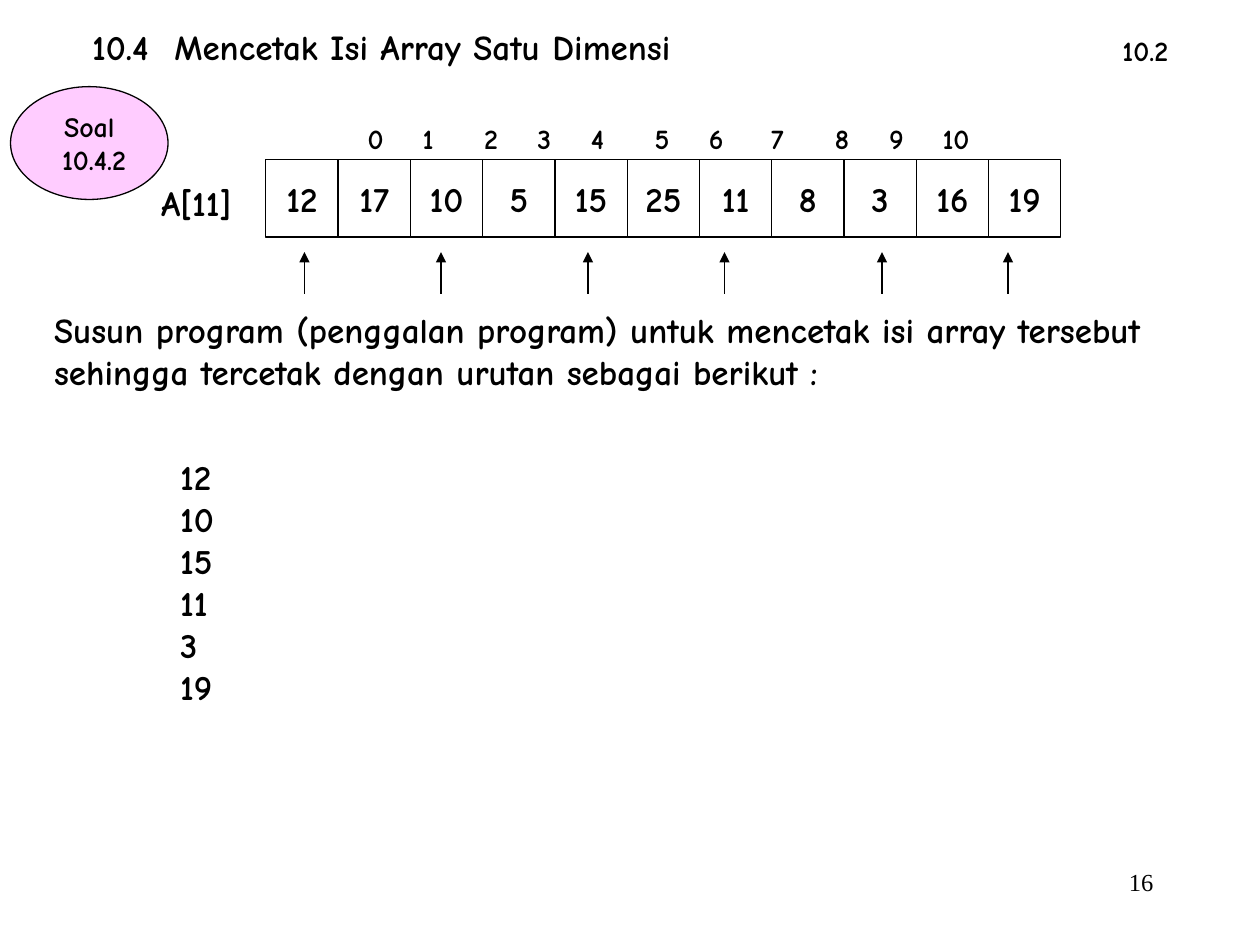
from lxml.etree import SubElement
from pptx import Presentation
from pptx.dml.color import RGBColor
from pptx.enum.shapes import MSO_CONNECTOR, MSO_SHAPE
from pptx.enum.text import MSO_ANCHOR, MSO_AUTO_SIZE, PP_ALIGN
from pptx.oxml.ns import qn
from pptx.util import Pt

COLORS = {"ink": "000000", "badge": "FFCCFF"}
HEADING = {"name": "Comic Neue", "size": Pt(20), "bold": True}
LABEL = {**HEADING, "size": Pt(16)}
PAGE = {"name": "Times New Roman", "size": Pt(14), "bold": False}


def write(shape, text, font_format, align=PP_ALIGN.LEFT, anchor=MSO_ANCHOR.TOP, wrap=False, tabs=()):
    frame = shape.text_frame
    frame_format = {
        "text": text, "word_wrap": wrap, "auto_size": MSO_AUTO_SIZE.NONE,
        "vertical_anchor": anchor, "margin_left": Pt(7.2), "margin_right": Pt(7.2),
        "margin_top": Pt(3.6), "margin_bottom": Pt(3.6),
    }
    for name, value in frame_format.items():
        setattr(frame, name, value)
    for paragraph in frame.paragraphs:
        paragraph.alignment = align
        if tabs:
            tab_list = SubElement(paragraph._p.get_or_add_pPr(), qn("a:tabLst"))
            for position in tabs:
                SubElement(tab_list, qn("a:tab"), pos=str(Pt(position)), algn="l")
        for run in paragraph.runs:
            for name, value in font_format.items():
                setattr(run.font, name, value)
            run.font.color.rgb = RGBColor.from_string(COLORS["ink"])


def add_outlined(kind, left, top, width, height):
    shape = slide.shapes.add_shape(kind, Pt(left), Pt(top), Pt(width), Pt(height))
    shape.shadow.inherit = False
    shape.fill.background()
    shape.line.color.rgb = RGBColor.from_string(COLORS["ink"])
    shape.line.width = Pt(0.75)
    return shape


presentation = Presentation()
presentation.slide_width, presentation.slide_height = Pt(720), Pt(540)
slide = presentation.slides.add_slide(presentation.slide_layouts[5])

title = slide.shapes.title
title_place = {"left": Pt(45.4), "top": Pt(10.8), "width": Pt(346), "height": Pt(31.5)}
for name, value in title_place.items():
    setattr(title, name, value)
write(title, "10.4\tMencetak Isi Array Satu Dimensi", HEADING, wrap=True, tabs=[47])

question = (
    "Susun program (penggalan program) untuk mencetak isi array tersebut "
    "sehingga tercetak dengan urutan sebagai berikut :"
)
printed_values = [12, 10, 15, 11, 3, 19]
index_tabs = [31.5, 66.5, 97, 127.5, 164, 195, 230.5, 267, 298, 328.5]
text_boxes = [
    ((23.8, 172.8, 653.8, 55.4), question, HEADING, {"wrap": True}),
    ((203, 66.2, 370, 26.6), "\t".join(map(str, range(11))), LABEL, {"wrap": True, "tabs": index_tabs}),
    ((634.3, 15.8, 40.3, 26.6), "10.2", LABEL, {}),
    ((85, 100, 54.7, 31.5), "A[11]", HEADING, {}),
    ((95.8, 257, 33.8, 151.2), "\n".join(map(str, printed_values)), HEADING, {}),
    ((516.2, 492, 150, 36), "16", PAGE, {"align": PP_ALIGN.RIGHT, "wrap": True}),
]
for place, text, font_format, options in text_boxes:
    box = slide.shapes.add_textbox(*map(Pt, place))
    write(box, text, font_format, **options)

cell_width = 41.3
for index, value in enumerate([12, 17, 10, 5, 15, 25, 11, 8, 3, 16, 19]):
    cell = add_outlined(MSO_SHAPE.RECTANGLE, 151.9 + index * cell_width, 91.2, cell_width, 44.2)
    write(cell, str(value), HEADING, PP_ALIGN.CENTER, MSO_ANCHOR.MIDDLE)

badge = add_outlined(MSO_SHAPE.OVAL, 6, 49.5, 90, 64.5)
badge.fill.solid()
badge.fill.fore_color.rgb = RGBColor.from_string(COLORS["badge"])
write(badge, "Soal\n10.4.2", LABEL, PP_ALIGN.CENTER, MSO_ANCHOR.MIDDLE, wrap=True)
badge.text_frame.paragraphs[1]._p.get_or_add_pPr().set("marL", str(Pt(5.5)))

for center in [174, 252, 336, 414, 504, 576]:
    arrow = slide.shapes.add_connector(MSO_CONNECTOR.STRAIGHT, Pt(center), Pt(168), Pt(center), Pt(144))
    arrow.line.color.rgb = RGBColor.from_string(COLORS["ink"])
    arrow.line.width = Pt(0.75)
    SubElement(arrow.line._get_or_add_ln(), qn("a:tailEnd"), type="triangle")
    SubElement(arrow._element.spPr, qn("a:effectLst"))

presentation.save("out.pptx")
